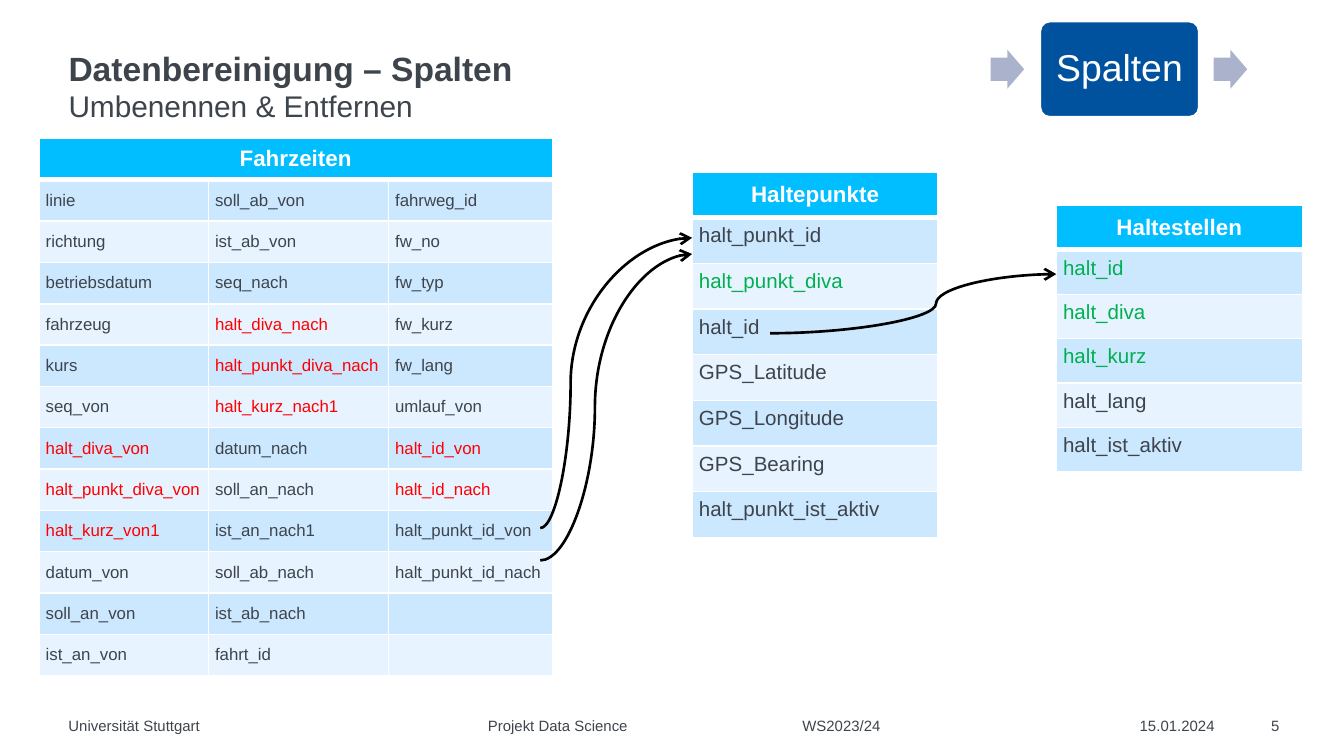
import dataclasses
import itertools
import lxml.etree
import pptx
import pptx.dml.color
import pptx.enum.shapes
import pptx.enum.text
import pptx.oxml
import pptx.oxml.ns
import pptx.util

Inches = pptx.util.Inches
Pt = pptx.util.Pt
Align = pptx.enum.text.PP_ALIGN
Anchor = pptx.enum.text.MSO_ANCHOR
Shape = pptx.enum.shapes.MSO_SHAPE

FONT = "Arial"
COLORS = {
    "text": "3E444C", "white": "FFFFFF", "black": "000000",
    "red": "FF0000", "green": "00B050", "head": "00BEFF",
    "odd": "CCE8FF", "even": "E7F4FF", "box": "00519E", "arrow": "ABB3CC",
}


@dataclasses.dataclass
class Grid:
    title: str
    left: float
    top: float
    widths: list[float]
    height: float
    size: int
    anchor: Anchor
    mark: str
    marked: set[str]
    fields: list[list[str]]


@dataclasses.dataclass
class Link:
    start: tuple[float, float]
    end: tuple[float, float]
    bend: float


@dataclasses.dataclass
class Label:
    text: str
    left: float
    width: float
    align: Align


GRIDS = [
    Grid("Fahrzeiten", 0.29, 1.03, [1.26, 1.34, 1.22], 4, 9, Anchor.MIDDLE, "red",
         {"halt_diva_von", "halt_punkt_diva_von", "halt_kurz_von1", "halt_diva_nach",
          "halt_punkt_diva_nach", "halt_kurz_nach1", "halt_id_von", "halt_id_nach"},
         [["linie", "richtung", "betriebsdatum", "fahrzeug", "kurs", "seq_von",
           "halt_diva_von", "halt_punkt_diva_von", "halt_kurz_von1", "datum_von",
           "soll_an_von", "ist_an_von"],
          ["soll_ab_von", "ist_ab_von", "seq_nach", "halt_diva_nach",
           "halt_punkt_diva_nach", "halt_kurz_nach1", "datum_nach", "soll_an_nach",
           "ist_an_nach1", "soll_ab_nach", "ist_ab_nach", "fahrt_id"],
          ["fahrweg_id", "fw_no", "fw_typ", "fw_kurz", "fw_lang", "umlauf_von",
           "halt_id_von", "halt_id_nach", "halt_punkt_id_von", "halt_punkt_id_nach"]]),
    Grid("Haltestellen", 7.86, 1.53, [1.83], 1.98, 11, Anchor.TOP, "green",
         {"halt_id", "halt_diva", "halt_kurz"},
         [["halt_id", "halt_diva", "halt_kurz", "halt_lang", "halt_ist_aktiv"]]),
    Grid("Haltepunkte", 5.15, 1.28, [1.83], 2.72, 11, Anchor.TOP, "green",
         {"halt_punkt_diva"},
         [["halt_punkt_id", "halt_punkt_diva", "halt_id", "GPS_Latitude",
           "GPS_Longitude", "GPS_Bearing", "halt_punkt_ist_aktiv"]]),
]
LINKS = [
    Link((4.02, 3.93), (5.15, 1.77), 0.2),
    Link((4.02, 4.17), (5.15, 1.89), 0.36),
    Link((5.73, 2.48), (7.86, 2.04), 0.58),
]
LABELS = [
    Label("15.01.2024", 8.48, 0.58, Align.LEFT),
    Label("Universität Stuttgart\t\t\tProjekt Data Science\t\tWS2023/24",
          0.51, 6.63, Align.LEFT),
    Label("5", 9.28, 0.24, Align.RIGHT),
]
STOPS = [1.04, 2.08, 3.12, 4.29, 5.46]


def shade(name: str) -> pptx.dml.color.RGBColor:
    return pptx.dml.color.RGBColor.from_string(COLORS[name])


def paint(fill, name: str) -> None:
    fill.solid()
    fill.fore_color.rgb = shade(name)


def add(node, tag: str, **attrs: str):
    child = lxml.etree.SubElement(node, pptx.oxml.ns.qn(tag))
    for key, value in attrs.items():
        child.set(key, value)
    return child


def edge(cell, width: int) -> None:
    props = cell._tc.get_or_add_tcPr()
    line = add(props, "a:lnB", w=str(Pt(width)))
    add(add(line, "a:solidFill"), "a:srgbClr", val=COLORS["white"])
    props.insert(0, line)


def style(para, size: int, color: str, bold: bool = False, align=Align.LEFT) -> None:
    para.alignment = align
    for run in para.runs:
        run.font.name = FONT
        run.font.size = Pt(size)
        run.font.bold = bold
        run.font.color.rgb = shade(color)


def inset(item, gap: float) -> None:
    item.margin_left = item.margin_right = Inches(gap)
    item.margin_top = item.margin_bottom = Inches(gap)


def place(shape, left: float, top: float, width: float, height: float) -> None:
    shape.left, shape.top = Inches(left), Inches(top)
    shape.width, shape.height = Inches(width), Inches(height)


def write(shape, text: str, size: int, bold: bool = False, align=Align.LEFT):
    frame = shape.text_frame
    frame.text = text
    frame.word_wrap = True
    frame.auto_size = pptx.enum.text.MSO_AUTO_SIZE.NONE
    frame.vertical_anchor = Anchor.TOP
    inset(frame, 0)
    para = frame.paragraphs[0]
    style(para, size, "text", bold, align)
    return para


def draw_shape(slide, kind: Shape, at: tuple, color: str, ratio: float):
    shape = slide.shapes.add_shape(kind, *map(Inches, at))
    shape.shadow.inherit = False
    shape.adjustments[0] = ratio
    paint(shape.fill, color)
    shape.line.fill.background()
    return shape


def draw_grid(slide, grid: Grid) -> None:
    rows = [[grid.title] + [""] * (len(grid.widths) - 1)]
    rows += itertools.zip_longest(*grid.fields, fillvalue="")
    table = slide.shapes.add_table(
        len(rows), len(grid.widths), Inches(grid.left), Inches(grid.top),
        Inches(sum(grid.widths)), Inches(grid.height)).table
    for column, width in zip(table.columns, grid.widths):
        column.width = Inches(width)
    for r, row in enumerate(rows):
        table.rows[r].height = Inches(grid.height / len(rows))
        for c, text in enumerate(row):
            cell = table.cell(r, c)
            cell.text = text
            inset(cell, 0.05)
            para = cell.text_frame.paragraphs[0]
            if r == 0:
                paint(cell.fill, "head")
                edge(cell, 3)
                cell.vertical_anchor = Anchor.MIDDLE
                style(para, 12, "white", True, Align.CENTER)
            else:
                paint(cell.fill, "odd" if r % 2 else "even")
                cell.vertical_anchor = grid.anchor
                style(para, grid.size, grid.mark if text in grid.marked else "text")
            if not text:
                add(para._p, "a:endParaRPr", sz=str(grid.size * 100))
    if len(grid.widths) > 1:
        table.cell(0, 0).merge(table.cell(0, len(grid.widths) - 1))


def draw_link(slide, link: Link) -> None:
    line = slide.shapes.add_connector(
        pptx.enum.shapes.MSO_CONNECTOR.CURVE, *map(Inches, link.start + link.end))
    line.line.color.rgb = shade("black")
    line.line.width = Pt(1.42)
    add(line.line._get_or_add_ln(), "a:tailEnd", type="arrow")
    props = line._element.spPr
    add(props, "a:effectLst")
    guides = props.find(".//" + pptx.oxml.ns.qn("a:avLst"))
    add(guides, "a:gd", name="adj1", fmla=f"val {round(link.bend * 100000)}")


def main() -> None:
    deck = pptx.Presentation()
    deck.slide_width = Inches(10)
    deck.slide_height = deck.slide_width * 9 // 16
    slide = deck.slides.add_slide(deck.slide_layouts[1])

    title, body = slide.placeholders
    place(title, 0.51, 0.39, 9.02, 0.47)
    write(title, "Datenbereinigung – Spalten", 18, True).line_spacing = 0.9
    place(body, 0.51, 0.6, 9.02, 0.27)
    para = write(body, "Umbenennen & Entfernen", 16)
    para.line_spacing = 1.2
    para.space_before = Pt(7.5)
    props = para._p.get_or_add_pPr()
    props.set("marL", "0")
    props.set("indent", "0")
    add(props, "a:buNone")

    for label in LABELS:
        box = slide.shapes.add_textbox(
            Inches(label.left), Inches(5.33), Inches(label.width), Inches(0.13))
        para = write(box, label.text, 8, align=label.align)
        if "\t" in label.text:
            tabs = add(para._p.get_or_add_pPr(), "a:tabLst")
            for stop in STOPS:
                add(tabs, "a:tab", pos=str(Inches(stop)), algn="l")

    box = draw_shape(slide, Shape.ROUNDED_RECTANGLE, (7.74, 0.16, 1.18, 0.71), "box", 0.1)
    box.line.color.rgb = shade("white")
    box.line.width = Pt(1)
    para = write(box, "Spalten", 20, align=Align.CENTER)
    para.line_spacing = 0.9
    box.text_frame.vertical_anchor = Anchor.MIDDLE
    para.runs[0].font.color.rgb = shade("white")
    for left in (9.03, 7.37):
        draw_shape(slide, Shape.RIGHT_ARROW, (left, 0.37, 0.25, 0.29), "arrow", 0.6)

    for grid in GRIDS:
        draw_grid(slide, grid)
    for link in LINKS:
        draw_link(slide, link)
    deck.save("out.pptx")


if __name__ == "__main__":
    main()
